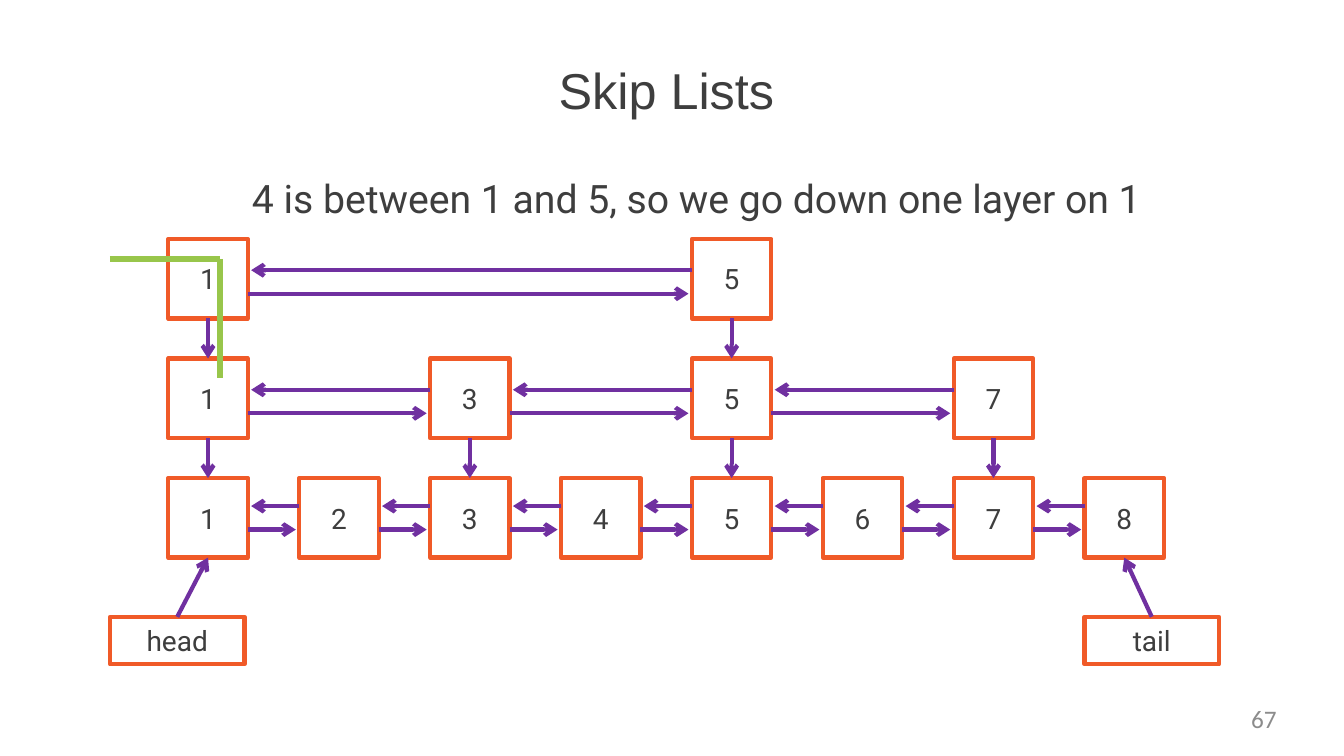
from lxml import etree
from pptx import Presentation
from pptx.dml.color import RGBColor
from pptx.enum.shapes import MSO_CONNECTOR, MSO_SHAPE
from pptx.enum.text import MSO_ANCHOR, PP_ALIGN
from pptx.oxml.ns import qn
from pptx.util import Pt

STRAIGHT = MSO_CONNECTOR.STRAIGHT
RECTANGLE = MSO_SHAPE.RECTANGLE
MIDDLE = MSO_ANCHOR.MIDDLE
LEFT, CENTER, RIGHT = PP_ALIGN.LEFT, PP_ALIGN.CENTER, PP_ALIGN.RIGHT
TOP_SIDE, BOTTOM_SIDE = 0, 2

COLORS = {"text": "3E3E3E", "node": "F05A28", "arrow": "7030A0",
          "route": "98C64B", "number": "8C8C8C"}
NODE_SIZE = 56.8
FIRST_LEFT, COLUMN_STEP = 120.2, 93.5
FIRST_TOP, LAYER_STEP = 170.7, 85.4
ARROW_GAP, TIP_GAP = 16.8, 2.4
LAYERS = [
    ((1, 5), 22.3),
    ((1, 3, 5, 7), 22.3),
    (range(1, 9), 20),
]


class SkipListSlide:
    """Draws the elements of a skip list diagram on one slide."""

    def __init__(self, page):
        self.shapes = page.shapes

    def fill_text(self, frame, text, size, font, color, align):
        frame.margin_left = frame.margin_right = 0
        frame.margin_top = frame.margin_bottom = 0
        frame.vertical_anchor = MIDDLE
        para = frame.paragraphs[0]
        para.alignment = align
        span = para.add_run()
        span.text = text
        span.font.size = Pt(size)
        span.font.name = font
        span.font.color.rgb = RGBColor.from_string(COLORS[color])

    def label(self, left, top, width, height, text, size, font,
              color="text", align=LEFT):
        box = self.shapes.add_textbox(Pt(left), Pt(top), Pt(width), Pt(height))
        box.text_frame.word_wrap = False
        self.fill_text(box.text_frame, text, size, font, color, align)

    def node(self, left, top, width, height, text):
        box = self.shapes.add_shape(RECTANGLE, Pt(left), Pt(top),
                                    Pt(width), Pt(height))
        box.shadow.inherit = False
        box.fill.background()
        box.line.color.rgb = RGBColor.from_string(COLORS["node"])
        box.line.width = Pt(3)
        self.fill_text(box.text_frame, text, 20, "Roboto", "text", CENTER)
        return box

    def line(self, x1, y1, x2, y2, color, width):
        line = self.shapes.add_connector(STRAIGHT, Pt(x1), Pt(y1),
                                         Pt(x2), Pt(y2))
        line.line.color.rgb = RGBColor.from_string(COLORS[color])
        line.line.width = Pt(width)
        etree.SubElement(line._element.spPr, qn("a:effectLst"))
        return line

    def arrow(self, x1=0, y1=0, x2=0, y2=0):
        arrow = self.line(x1, y1, x2, y2, "arrow", 3)
        outline = arrow._element.spPr.find(qn("a:ln"))
        etree.SubElement(outline, qn("a:tailEnd"), type="arrow")
        return arrow

    def joined_arrow(self, source, source_side, target, target_side):
        arrow = self.arrow()
        arrow.begin_connect(source, source_side)
        arrow.end_connect(target, target_side)


def column_left(key):
    return FIRST_LEFT + (key - 1) * COLUMN_STEP


def main():
    deck = Presentation()
    deck.slide_width, deck.slide_height = Pt(960), Pt(540)
    slide = SkipListSlide(deck.slides.add_slide(deck.slide_layouts[6]))

    slide.label(399, 41, 156, 45, "Skip Lists", 36, "Arial")
    slide.label(180, 123, 646, 36,
                "4 is between 1 and 5, so we go down one layer on 1",
                28, "Roboto")

    layers = []
    for row, (keys, arrow_offset) in enumerate(LAYERS):
        top = FIRST_TOP + row * LAYER_STEP
        layers.append({key: slide.node(column_left(key), top, NODE_SIZE,
                                       NODE_SIZE, str(key)) for key in keys})
        back = top + arrow_offset
        forward = back + ARROW_GAP
        for key, following in zip(keys, keys[1:]):
            start = column_left(key) + NODE_SIZE
            end = column_left(following)
            slide.arrow(end, back, start + TIP_GAP, back)
            slide.arrow(start, forward, end - TIP_GAP, forward)

    for upper, lower in zip(layers, layers[1:]):
        for key, box in upper.items():
            slide.joined_arrow(box, BOTTOM_SIDE, lower[key], TOP_SIDE)

    for left, text, key in ((78.6, "head", 1), (774.7, "tail", 8)):
        box = slide.node(left, 440.6, 96, 34, text)
        slide.joined_arrow(box, TOP_SIDE, layers[-1][key], BOTTOM_SIDE)

    slide.line(78.5, 185, 157, 185, "route", 4)
    slide.line(157, 185, 157, 270, "route", 4)
    slide.label(691, 502, 221, 23, "67", 18, "Calibri", "number", RIGHT)
    deck.save("out.pptx")


if __name__ == "__main__":
    main()
